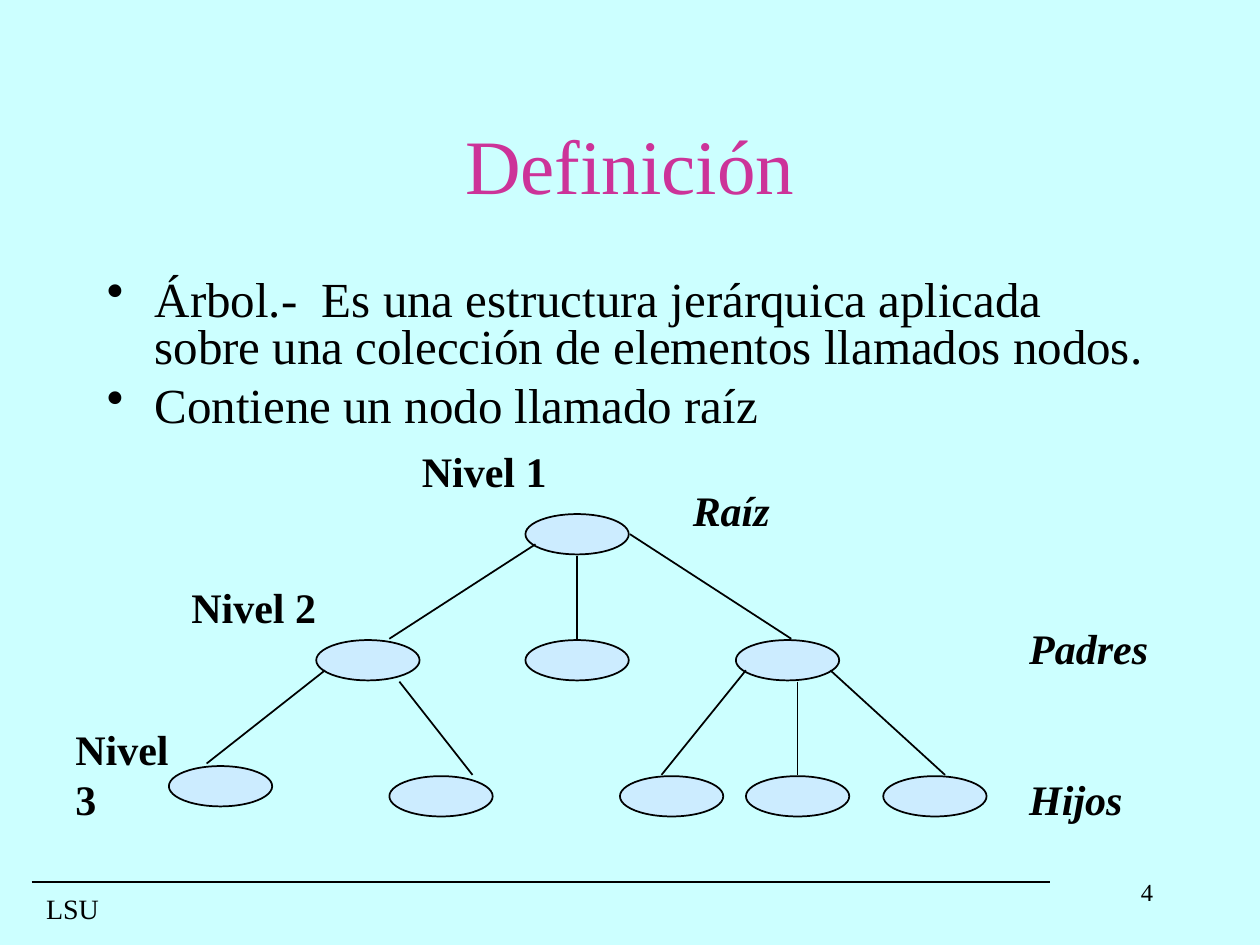
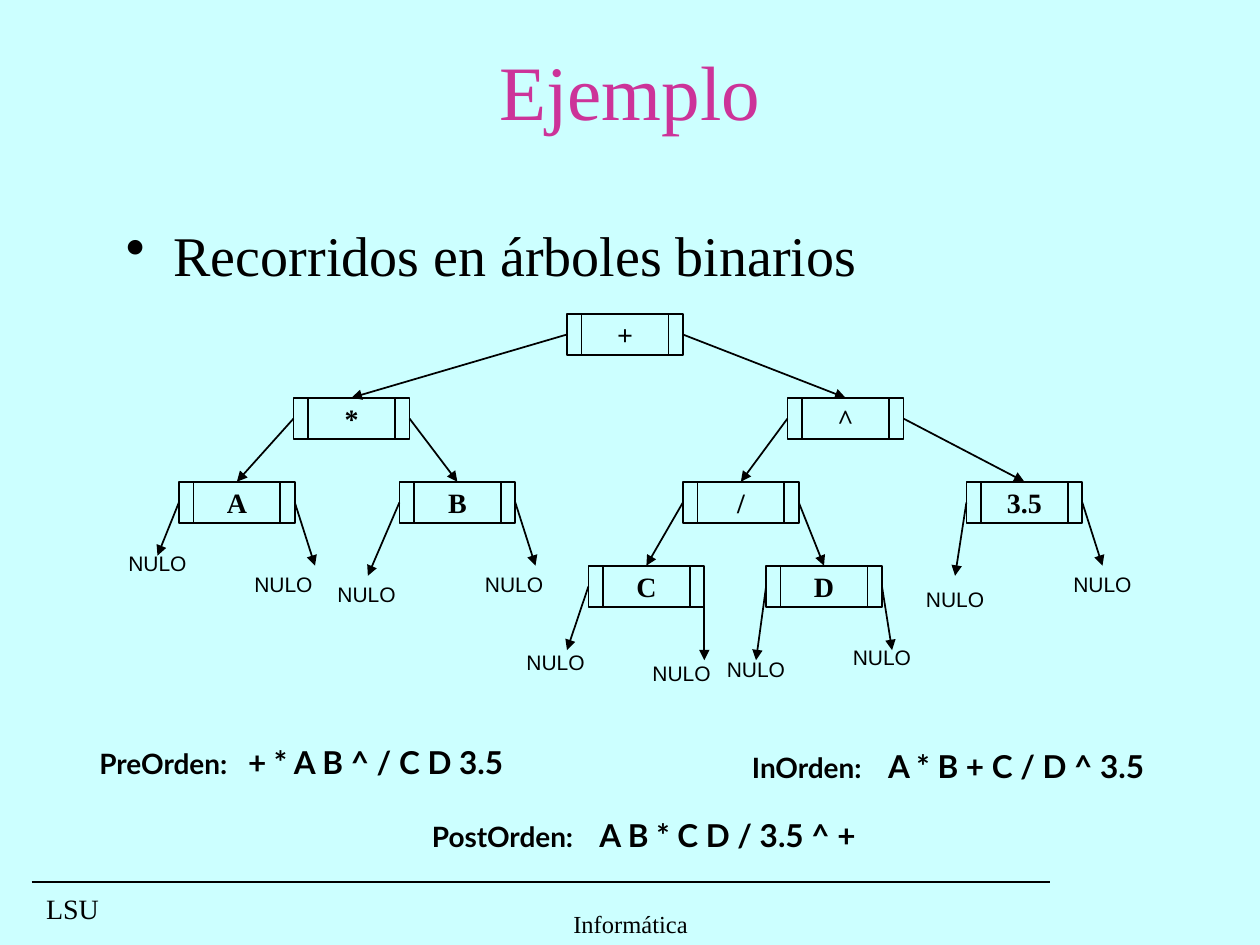
"""Build two slides about trees: their definition and binary tree traversals."""
import pptx
import pptx.dml.color
import pptx.enum.shapes
import pptx.enum.text
import pptx.oxml
import pptx.oxml.ns
import pptx.util
from lxml import etree

Inches, Pt = pptx.util.Inches, pptx.util.Pt
SHAPE = pptx.enum.shapes.MSO_SHAPE
ALIGN = pptx.enum.text.PP_ALIGN
ANCHOR = pptx.enum.text.MSO_ANCHOR
qn = pptx.oxml.ns.qn

COLORS = {"back": "CCFFFF", "title": "CC3399", "ink": "000000", "node": "CCECFF", "shadow": "808080"}
SERIF, SANS, ORDER_FONT = "Times New Roman", "Arial", "Lato"

DEFINITION = [
    "Árbol.-  Es una estructura jerárquica aplicada sobre una colección de elementos llamados nodos.",
    "Contiene un nodo llamado raíz",
]
OVAL_SIZE = (0.82, 0.32)
OVALS = [
    (4.17, 4.08),
    (2.51, 5.08), (4.17, 5.08), (5.84, 5.08),
    (1.34, 6.08), (3.09, 6.16), (4.92, 6.16), (5.92, 6.16), (7.01, 6.16),
]
BRANCHES = [
    ((4.25, 4.32), (3.09, 5.07)), ((4.58, 4.41), (4.58, 5.07)), ((5, 4.24), (6.28, 5.07)),
    ((2.58, 5.32), (1.64, 6.06)), ((3.17, 5.41), (3.75, 6.15)), ((5.92, 5.32), (5.25, 6.15)),
    ((6.33, 5.41), (6.33, 6.15)), ((6.59, 5.32), (7.5, 6.15)),
]
LEVELS = [
    ("Nivel 1", (3.25, 3.49, 1.19, 0.5), False),
    ("Nivel 2", (1.42, 4.57, 1.19, 0.5), False),
    ("Nivel 3", (0.5, 5.69, 1.15, 0.9), True),
]
ROLES = [
    ("Raíz", (5.4, 3.8, 0.93, 0.5)),
    ("Padres", (8.07, 4.89, 1.15, 0.5)),
    ("Hijos", (8.07, 6.09, 1.15, 0.5)),
]

BOX_SIZE = (0.92, 0.33)
TREE_TOP, LEVEL_STEP = 2.49, 2 / 3
TREE = {
    "+": (4.5, 0, "*", "^"),
    "*": (2.33, 1, "A", "B"),
    "^": (6.25, 1, "/", "3.5"),
    "A": (1.42, 2, None, None),
    "B": (3.17, 2, None, None),
    "/": (5.42, 2, "C", "D"),
    "3.5": (7.67, 2, None, None),
    "C": (4.67, 3, None, None),
    "D": (6.08, 3, None, None),
}
NULLS = {
    "A": [((1.25, 4.41), (0.92, 4.32)), ((2.5, 4.49), (1.92, 4.49))],
    "B": [((2.92, 4.57), (2.58, 4.57)), ((4.25, 4.49), (3.75, 4.49))],
    "3.5": [((7.58, 4.57), (7.25, 4.61)), ((8.75, 4.49), (8.42, 4.49))],
    "C": [((4.5, 5.16), (4.08, 5.11)), ((5.59, 5.24), (5.08, 5.19))],
    "D": [((6, 5.24), (5.67, 5.16)), ((7.08, 5.16), (6.67, 5.07))],
}
ORDERS = [
    ("PreOrden:", "+ * A B ^ / C D 3.5", (0.69, 5.85, 3.59, 0.4), 1.18),
    ("InOrden:", "A * B + C / D ^ 3.5", (5.87, 5.88, 3.5, 0.4), 1.08),
    ("PostOrden:", "A B * C D / 3.5 ^ +", (3.33, 6.43, 3.76, 0.4), 1.33),
]


def rgb(name):
    return pptx.dml.color.RGBColor.from_string(COLORS[name])


def add_run(p, text, size, font=SERIF, color="ink", bold=False, italic=False):
    r = p.add_run()
    r.text = text
    r.font.size, r.font.name = Pt(size), font
    r.font.bold, r.font.italic = bold, italic
    r.font.color.rgb = rgb(color)
    return r


def add_text(slide, box, text, size, align=ALIGN.LEFT, anchor=ANCHOR.TOP, wrap=True, **style):
    tf = slide.shapes.add_textbox(*map(Inches, box)).text_frame
    tf.word_wrap, tf.vertical_anchor = wrap, anchor
    p = tf.paragraphs[0]
    p.alignment = align
    return p, add_run(p, text, size, **style)


def add_bullets(slide, box, items, size, before, spacing=1.0):
    tf = slide.shapes.add_textbox(*map(Inches, box)).text_frame
    tf.word_wrap = True
    for i, item in enumerate(items):
        p = tf.add_paragraph() if i else tf.paragraphs[0]
        p.space_before, p.line_spacing = Pt(before), spacing
        pPr = p._p.get_or_add_pPr()
        pPr.set("marL", str(Inches(0.38)))
        pPr.set("indent", str(-Inches(0.38)))
        etree.SubElement(pPr, qn("a:buChar"), char="•")
        add_run(p, item, size)


def add_line(slide, start, end, arrow=False):
    ends = map(Inches, (*start, *end))
    line = slide.shapes.add_connector(pptx.enum.shapes.MSO_CONNECTOR.STRAIGHT, *ends)
    line.line.color.rgb, line.line.width = rgb("ink"), Pt(1)
    if arrow:
        etree.SubElement(line.line._get_or_add_ln(), qn("a:tailEnd"), type="triangle")
    etree.SubElement(line._element.spPr, qn("a:effectLst"))


def add_node(slide, kind, at, size, fill=None):
    sp = slide.shapes.add_shape(kind, *map(Inches, (*at, *size)))
    sp.shadow.inherit = False
    sp.line.color.rgb, sp.line.width = rgb("ink"), Pt(1)
    if fill:
        sp.fill.solid()
        sp.fill.fore_color.rgb = rgb(fill)
    else:
        sp.fill.background()
    return sp


def add_slide(prs, title, box, anchor):
    slide = prs.slides.add_slide(prs.slide_layouts[6])
    slide.background.fill.solid()
    slide.background.fill.fore_color.rgb = rgb("back")
    add_line(slide, (0.25, 7), (8.33, 7))
    p, r = add_text(slide, (0.24, 7.06, 0.67, 0.34), "LSU", 16, ALIGN.CENTER)
    p.line_spacing, p.space_before = 0.9, Pt(10)
    p, r = add_text(slide, box, title, 44, ALIGN.CENTER, anchor, color="title")
    return slide, r


def add_text_shadow(r):
    effects = etree.Element(qn("a:effectLst"))
    shadow = etree.SubElement(effects, qn("a:outerShdw"), dist="25400", dir="2700000")
    etree.SubElement(shadow, qn("a:srgbClr"), val=COLORS["shadow"])
    r.font._element.find(qn("a:solidFill")).addnext(effects)


def build_definition(prs):
    slide, title = add_slide(prs, "Definición", (0.75, 0.67, 8.5, 1.25), ANCHOR.MIDDLE)
    add_text_shadow(title)
    add_text(slide, (7.17, 6.83, 2.08, 0.5), "4", 14, ALIGN.RIGHT, ANCHOR.MIDDLE)
    add_bullets(slide, (0.75, 2.17, 8.5, 1.43), DEFINITION, 28, 7, 0.8)
    for at in OVALS:
        add_node(slide, SHAPE.OVAL, at, OVAL_SIZE, "node")
    for start, end in BRANCHES:
        add_line(slide, start, end)
    for text, box, wrap in LEVELS:
        add_text(slide, box, text, 24, wrap=wrap, bold=True)
    for text, box in ROLES:
        add_text(slide, box, text, 24, wrap=False, bold=True, italic=True)


def build_example(prs):
    slide, title = add_slide(prs, "Ejemplo", (0.5, 0.3, 9, 1.25), ANCHOR.TOP)
    add_text(slide, (3.42, 7.08, 3.17, 0.42), "Informática", 14, ALIGN.CENTER, ANCHOR.BOTTOM)
    add_bullets(slide, (0.9, 1.7, 8.29, 0.76), ["Recorridos en árboles binarios"], 32, 8)
    width, height = BOX_SIZE
    tops = {name: TREE_TOP + node[1] * LEVEL_STEP for name, node in TREE.items()}
    for name, (x, level, *children) in TREE.items():
        sp = add_node(slide, SHAPE.FLOWCHART_PREDEFINED_PROCESS, (x, tops[name]), BOX_SIZE)
        tf = sp.text_frame
        tf.word_wrap, tf.vertical_anchor = False, ANCHOR.MIDDLE
        p = tf.paragraphs[0]
        p.alignment = ALIGN.CENTER
        add_run(p, name, 16, bold=True)
        for side, child in enumerate(children):
            if child:
                tip = (TREE[child][0] + width / 2, tops[child])
            else:
                tip, (left, top) = NULLS[name][side]
                add_text(slide, (left, top, 0.92, 0.3), "NULO", 12, font=SANS)
            add_line(slide, (x + side * width, tops[name] + height / 2), tip, arrow=True)
    for label, sequence, box, tab in ORDERS:
        p, r = add_text(slide, box, label + "\t", 16, font=ORDER_FONT, bold=True)
        add_run(p, sequence, 18, ORDER_FONT, bold=True)
        tabs = etree.SubElement(p._p.get_or_add_pPr(), qn("a:tabLst"))
        etree.SubElement(tabs, qn("a:tab"), pos=str(Inches(tab)), algn="l")


def main():
    prs = pptx.Presentation()
    prs.slide_width, prs.slide_height = Inches(10), Inches(7.5)
    build_definition(prs)
    build_example(prs)
    prs.save("out.pptx")


if __name__ == "__main__":
    main()
